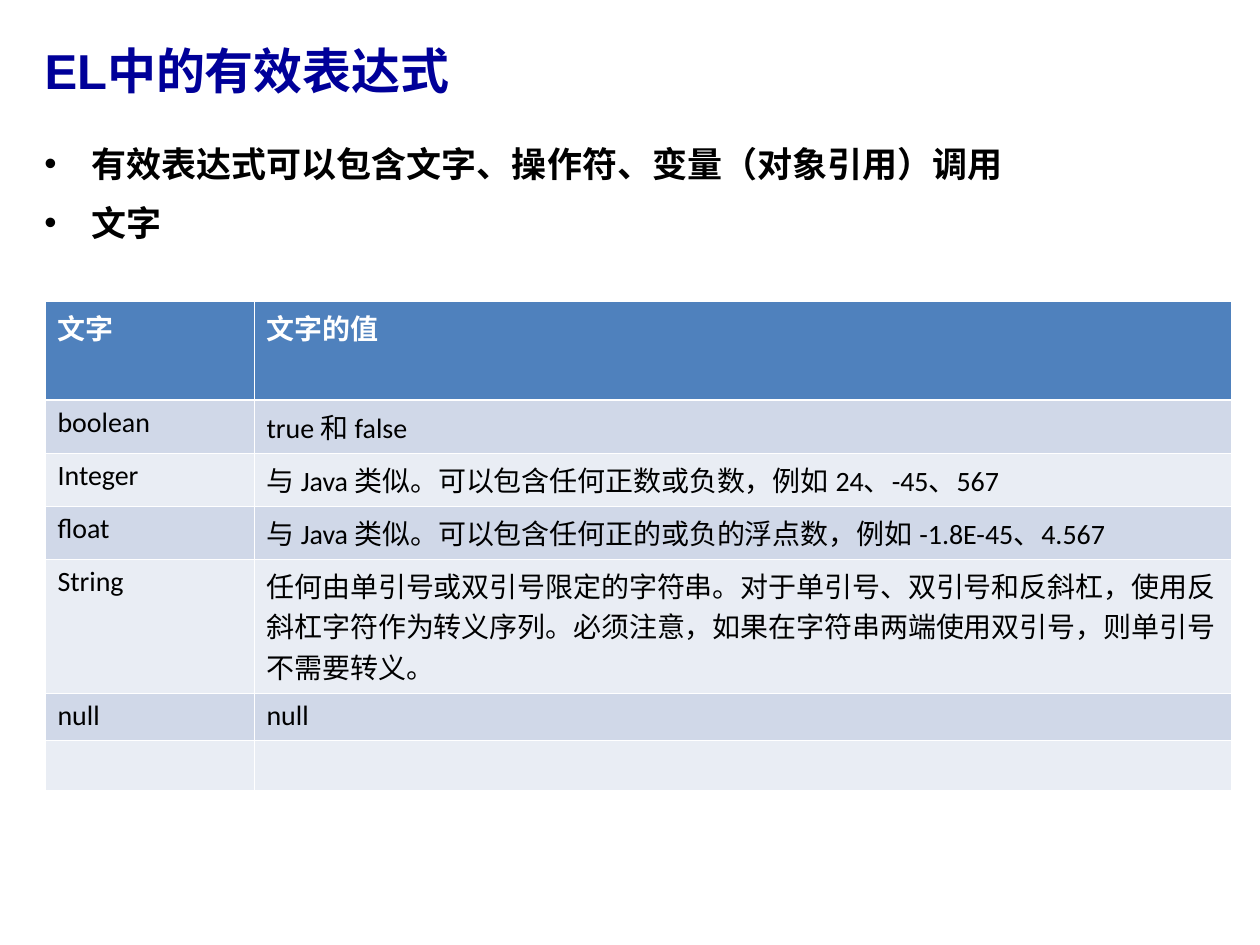
from lxml.etree import SubElement as Sub
from pptx import Presentation
from pptx.dml.color import RGBColor as Rgb
from pptx.enum.text import MSO_ANCHOR as Anchor, MSO_AUTO_SIZE as Fit, PP_ALIGN as Align
from pptx.oxml.ns import qn
from pptx.util import Pt

PX = 914400 // 126
HUES = {
    "title": "000099", "text": "000000", "white": "FFFFFF",
    "head": "4F81BD", "odd": "D0D8E8", "even": "E9EDF4",
}
TITLE = "EL中的有效表达式"
POINTS = ["有效表达式可以包含文字、操作符、变量（对象引用）调用", "文字"]
ROWS = [
    ("文字", "文字的值"),
    ("boolean", "true 和 false"),
    ("Integer", "与 Java 类似。可以包含任何正数或负数，例如 24、-45、567"),
    ("float", "与 Java 类似。可以包含任何正的或负的浮点数，例如 -1.8E-45、4.567"),
    ("String", "任何由单引号或双引号限定的字符串。对于单引号、双引号和反斜杠，"
               "使用反斜杠字符作为转义序列。必须注意，如果在字符串两端使用双引号，"
               "则单引号不需要转义。"),
    ("null", "null"),
    ("", ""),
]
WIDTHS = [209, 977]
HEIGHTS = [99, 53, 53, 53, 134, 47, 50]


def scale(*nums):
    return [num * PX for num in nums]


def write(para, text, size=16, font="Calibri", hue="text", bold=False, before=0):
    para.alignment = Align.LEFT
    para.space_before = Pt(before)
    run = para.add_run()
    run.text = text
    face = run.font
    face.size, face.name, face.bold = Pt(size), font, bold
    face.color.rgb = Rgb.from_string(HUES[hue])


def bullet(para, indent):
    props = para._p.get_or_add_pPr()
    props.set("marL", str(indent * PX))
    props.set("indent", str(-indent * PX))
    tint = Sub(props, qn("a:buClr"))
    Sub(tint, qn("a:srgbClr"), val=HUES["text"])
    Sub(props, qn("a:buFont"), typeface="Arial")
    Sub(props, qn("a:buChar"), char="•")


def border(cell, top, bottom):
    props = cell._tc.get_or_add_tcPr()
    sides = {"a:lnL": 0.45, "a:lnR": 0.45, "a:lnT": top, "a:lnB": bottom}
    for spot, (side, width) in enumerate(sides.items()):
        line = Sub(props, qn(side), w=str(Pt(width)))
        fill = Sub(line, qn("a:solidFill"))
        Sub(fill, qn("a:srgbClr"), val=HUES["white"])
        props.insert(spot, line)


def add_title(slide, box):
    title = slide.shapes.title
    title.left, title.top, title.width, title.height = scale(*box)
    frame = title.text_frame
    frame.auto_size = Fit.NONE
    frame.vertical_anchor = Anchor.MIDDLE
    write(frame.paragraphs[0], TITLE, size=28, font="Arial", hue="title", bold=True)


def add_list(slide, box):
    frame = slide.shapes.add_textbox(*scale(*box)).text_frame
    frame.word_wrap = True
    for spot, text in enumerate(POINTS):
        para = frame.add_paragraph() if spot else frame.paragraphs[0]
        write(para, text, size=20, font="Arial", bold=True, before=10)
        bullet(para, 47)


def add_grid(slide, left, top):
    box = scale(left, top, sum(WIDTHS), sum(HEIGHTS))
    grid = slide.shapes.add_table(len(ROWS), len(WIDTHS), *box).table
    for col, width in zip(grid.columns, WIDTHS):
        col.width = width * PX
    for r, (row, height) in enumerate(zip(grid.rows, HEIGHTS)):
        row.height = height * PX
        head = r == 0
        shade = "head" if head else "odd" if r % 2 else "even"
        for cell, text in zip(row.cells, ROWS[r]):
            cell.fill.solid()
            cell.fill.fore_color.rgb = Rgb.from_string(HUES[shade])
            border(cell, 1.47 if r == 1 else 0.45, 1.47 if head else 0.45)
            if text:
                write(cell.text_frame.paragraphs[0], text, bold=head,
                      hue="white" if head else "text", before=8)


def main():
    deck = Presentation()
    deck.slide_width, deck.slide_height = scale(1260, 945)
    slide = deck.slides.add_slide(deck.slide_layouts[5])
    add_title(slide, (32, 28, 1134, 84))
    add_list(slide, (32, 136, 1152, 697))
    add_grid(slide, 45, 301)
    deck.save("out.pptx")


if __name__ == "__main__":
    main()
